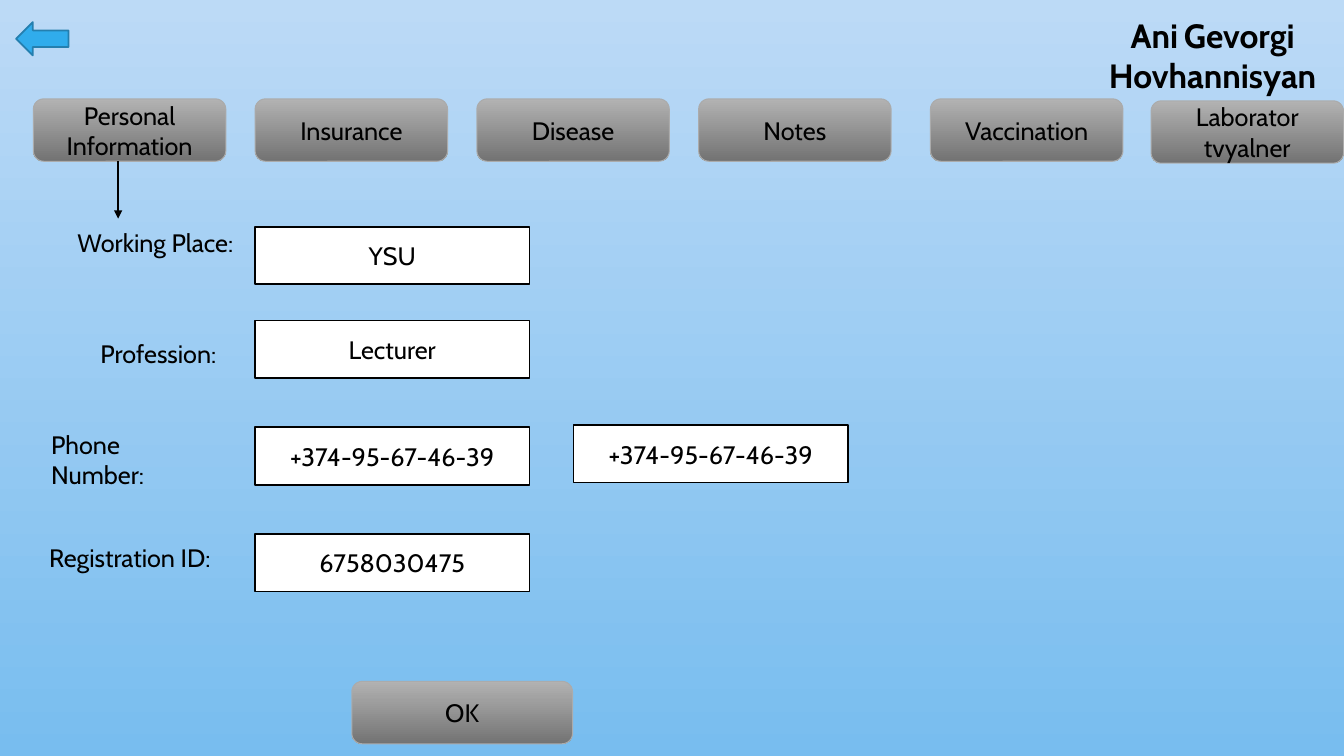
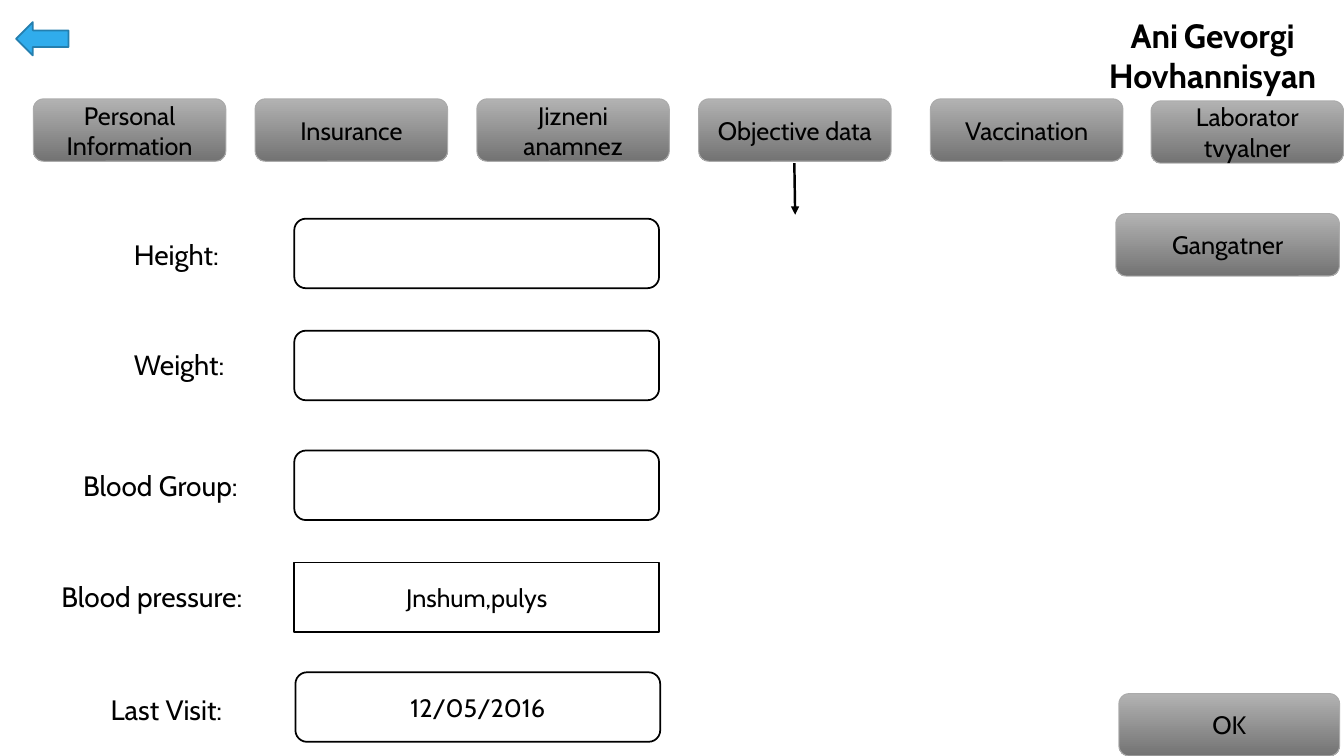
from lxml import etree
from pptx import Presentation
from pptx.dml.color import RGBColor
from pptx.enum.shapes import MSO_CONNECTOR, MSO_SHAPE
from pptx.enum.text import MSO_ANCHOR, PP_ALIGN
from pptx.oxml.ns import qn
from pptx.util import Pt

ROUNDED, RECTANGLE = MSO_SHAPE.ROUNDED_RECTANGLE, MSO_SHAPE.RECTANGLE
BACK_ARROW = MSO_SHAPE.LEFT_ARROW
STRAIGHT = MSO_CONNECTOR.STRAIGHT
LEFT, CENTER = PP_ALIGN.LEFT, PP_ALIGN.CENTER
MIDDLE = MSO_ANCHOR.MIDDLE

FONT = "Cabin"
COLORS = {
    "text": "000000", "field": "FFFFFF",
    "sky top": "BCDAF6", "sky bottom": "78BDEF",
    "button top": "B2B2B2", "button bottom": "737373", "button edge": "ABABAB",
    "back": "30ACEC", "back edge": "247FAF",
}

# Runs of the patient's name: text, size, bold
PATIENT = [("Ani", 24, True), (" ", 18, False), ("Gevorgi Hovhannisyan", 24, True)]

TAB_SIZE = (137.5, 44.6)
TAB_TOP, TAB_LEFT, TAB_STEP = 70.6, 23.8, 158.4
LAST_TABS = [("Vaccination", 664.6, TAB_TOP), ("Laborator tvyalner", 822.2, 72)]

# Labels: text, left, top, width
# Fields: text, left, top, corner (None keeps the preset rounding)
# Buttons: text, left, top, width
PAGES = [
    {
        "sky": True,
        "tabs": ["Personal Information", "Insurance", "Disease", "Notes"],
        "pointer": (84.4, 115.2, 84.4, 156.2),
        "label size": 18,
        "labels": [
            ("Working Place:", 48.2, 159.1, 137.5),
            ("Profession:", 64.6, 238.3, 120),
            ("Phone Number:", 29.5, 303.1, 100),
            ("Registration ID:", 28, 383.8, 140),
        ],
        "field shape": RECTANGLE,
        "field size": (196, 41),
        "fields": [
            ("YSU", 182.2, 162, None),
            ("Lecturer", 182.2, 229, None),
            ("+374-95-67-46-39", 182.2, 305.3, None),
            ("+374-95-67-46-39", 409.7, 303.8, None),
            ("6758030475", 182.2, 381.6, None),
        ],
        "buttons": [("OK", 251.3, 486.7, 157.7)],
    },
    {
        "sky": False,
        "tabs": ["Personal Information", "Insurance", "Jizneni anamnez", "Objective data"],
        "pointer": (567.4, 116.6, 568, 153.4),
        "label size": 20,
        "labels": [
            ("Height:", 88.5, 166.3, 110),
            ("Weight:", 88.5, 244.8, 110),
            ("Blood Group:", 52.3, 331.2, 150),
            ("Blood pressure:", 36.7, 410.4, 173.5),
            ("Last Visit:", 72, 491, 130),
        ],
        "field shape": ROUNDED,
        "field size": (260.6, 49.7),
        "fields": [
            ("", 210.2, 156.2, None),
            ("", 210.2, 236.2, None),
            ("", 210.2, 321.8, None),
            ("Jnshum,pulys", 210.2, 401.8, 0),
            ("12/05/2016", 211, 480.2, None),
        ],
        "buttons": [("Gangatner", 797, 152.6, 159.8), ("OK", 799.2, 495.4, 157.7)],
    },
]


def color(name):
    return RGBColor.from_string(COLORS[name])


def shade(fill, name):
    """Fill from the top colour down to the bottom colour of a named pair."""
    fill.gradient()
    fill.gradient_angle = 270
    for stop, end in zip(fill.gradient_stops, ("top", "bottom")):
        stop.color.rgb = color(f"{name} {end}")


def write(box, runs, align):
    """Put (text, size, bold) runs in the first paragraph."""
    box.text_frame.word_wrap = True
    para = box.text_frame.paragraphs[0]
    para.alignment = align
    for text, size, bold in runs:
        span = para.add_run()
        span.text = text
        span.font.name, span.font.size, span.font.bold = FONT, Pt(size), bold
        span.font.color.rgb = color("text")


def add_text(page, runs, left, top, width, height, align=LEFT):
    box = page.shapes.add_textbox(Pt(left), Pt(top), Pt(width), Pt(height))
    write(box, runs, align)


def add_box(page, kind, left, top, width, height, edge, weight, text=""):
    box = page.shapes.add_shape(kind, Pt(left), Pt(top), Pt(width), Pt(height))
    box.shadow.inherit = False
    box.line.color.rgb = color(edge)
    box.line.width = Pt(weight)
    box.text_frame.vertical_anchor = MIDDLE
    if text:
        write(box, [(text, 18, False)], CENTER)
    return box


def add_button(page, text, left, top, width):
    button = add_box(page, ROUNDED, left, top, width, TAB_SIZE[1], "button edge", 0.75, text)
    shade(button.fill, "button")


def add_pointer(page, ends):
    pointer = page.shapes.add_connector(STRAIGHT, *map(Pt, ends))
    pointer.line.color.rgb = color("text")
    pointer.line.width = Pt(1.75)
    head = etree.SubElement(pointer.line._get_or_add_ln(), qn("a:tailEnd"))
    head.set("type", "triangle")
    etree.SubElement(pointer._element.spPr, qn("a:effectLst"))


def add_header(page, tabs):
    """Back arrow, patient name and the row of tabs."""
    add_text(page, PATIENT, 772.6, 7.2, 187.2, 65.5, CENTER)
    back = add_box(page, BACK_ARROW, 11.5, 15.8, 37.4, 23.8, "back edge", 1.25)
    back.fill.solid()
    back.fill.fore_color.rgb = color("back")
    row = [(text, TAB_LEFT + i * TAB_STEP, TAB_TOP) for i, text in enumerate(tabs)]
    for text, left, top in row + LAST_TABS:
        add_button(page, text, left, top, TAB_SIZE[0])


def add_form(page, content):
    for text, left, top, corner in content["fields"]:
        field = add_box(page, content["field shape"], left, top, *content["field size"],
                        "text", 1.25, text)
        field.fill.solid()
        field.fill.fore_color.rgb = color("field")
        if corner is not None:
            field.adjustments[0] = corner
    size = content["label size"]
    for text, left, top, width in content["labels"]:
        add_text(page, [(text, size, False)], left, top, width, size * 1.6)
    for button in content["buttons"]:
        add_button(page, *button)


def main():
    deck = Presentation()
    deck.slide_width, deck.slide_height = Pt(960), Pt(540)
    for content in PAGES:
        page = deck.slides.add_slide(deck.slide_layouts[6])
        if content["sky"]:
            shade(page.background.fill, "sky")
        add_header(page, content["tabs"])
        add_pointer(page, content["pointer"])
        add_form(page, content)
    deck.save("out.pptx")


if __name__ == "__main__":
    main()
